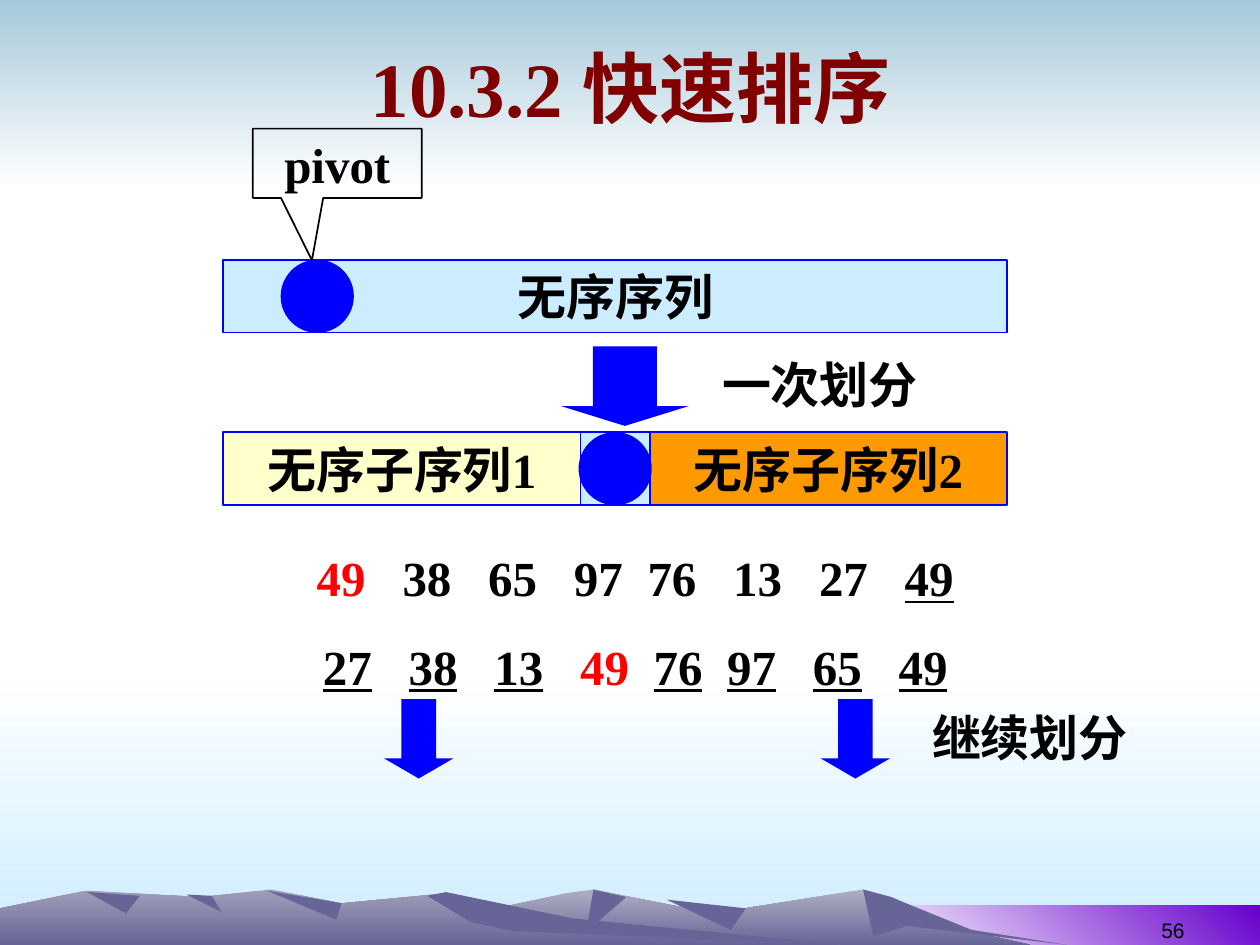
from itertools import accumulate

from lxml.etree import SubElement
from pptx import Presentation
from pptx.dml.color import RGBColor
from pptx.enum.shapes import MSO_SHAPE
from pptx.enum.text import MSO_ANCHOR, PP_ALIGN
from pptx.oxml.ns import qn
from pptx.util import Pt

BLUE, PALE_BLUE, SLATE, BLACK, RED = "0000FF", "CCECFF", "676597", "000000", "FF0000"
WIDTH, HEIGHT = 720, 540
BAR_WIDTH, BAR_HEIGHT, PIVOT, ARROW_HEIGHT = 448, 41.6, 39.6, 45.4
NUMBER_COUNT, WIDE_GAP, NARROW_GAP = 8, 49, 42

BACK_RANGE = [(258, 45), (450, 4), (471, 1), (566, 20), (685, 1), (707, 7), (764, 33), (818, 45)]
BACK_SHADES = [
    [(685, 1), (707, 7), (771, 33), (847, 45), (720, 30), (693, 38)],
    [(471, 1), (497, 7), (465, 35)],
    [(529, 9), (592, 16), (580, 33)],
]
FRONT_RANGE = [
    (0, 45), (0, 16), (68, 2), (160, 7), (215, 1), (271, 12), (354, 4), (432, 27), (667, 45)]
FRONT_SHADES = [
    [(212, 2), (271, 12), (267, 25)],
    [(339, 6), (354, 3), (455, 24), (672, 45), (407, 34), (374, 27)],
    [(148, 5), (168, 6), (176, 19)],
    [(69, 3), (111, 6), (100, 20)],
]


def rgb(value):
    """Turn a hex string into a colour."""
    return RGBColor.from_string(value)


def paint(shape, fill=None, line=None, width=1, angle=270):
    """Give a shape a plain or two-colour fill, an outline and no shadow."""
    shape.shadow.inherit = False
    if fill is None:
        shape.fill.background()
    elif isinstance(fill, tuple):
        shape.fill.gradient()
        shape.fill.gradient_angle = angle
        for position, (stop, color) in enumerate(zip(shape.fill.gradient_stops, fill)):
            stop.color.rgb = rgb(color)
            stop.position = position
    else:
        shape.fill.solid()
        shape.fill.fore_color.rgb = rgb(fill)
    if line:
        shape.line.color.rgb = rgb(line)
        shape.line.width = Pt(width)
    else:
        shape.line.fill.background()


def add_figure(slide, kind, box, fill=None, line=None, width=1, angle=270):
    """Place a preset shape in a box given in points."""
    figure = slide.shapes.add_shape(kind, *map(Pt, box))
    paint(figure, fill, line, width, angle)
    return figure


def style(run, size=28, color=BLACK, bold=True, font="Times New Roman", underline=False):
    """Set the font of a run for Latin and Chinese letters."""
    run.font.size = Pt(size)
    run.font.bold = bold
    run.font.name = font
    run.font.underline = underline
    run.font.color.rgb = rgb(color)
    SubElement(run.font._element, qn("a:ea"), typeface="Noto Sans CJK SC")


def write(shape, text, align=PP_ALIGN.CENTER, anchor=MSO_ANCHOR.MIDDLE, wrap=True, **look):
    """Put one line of text in a shape."""
    frame = shape.text_frame
    frame.text = text
    frame.word_wrap = wrap
    frame.vertical_anchor = anchor
    frame.paragraphs[0].alignment = align
    style(frame.paragraphs[0].runs[0], **look)


def add_label(slide, box, text, **look):
    """Add a text box with one line."""
    write(slide.shapes.add_textbox(*map(Pt, box)), text, **look)


def add_pivot(slide, left, top):
    """Draw the round pivot element."""
    add_figure(slide, MSO_SHAPE.OVAL, (left, top, PIVOT, PIVOT), BLUE, BLUE, 2.25)


def draw_backdrop(slide, width, height):
    """Draw the sky, the haze and the purple strip."""
    bands = [
        ((0, 384, width, height - 384), ("FFFFFF", PALE_BLUE), 270),
        ((0, 0, width, 108), ("A6C9DA", "FFFFFF"), 270),
        ((492, 517.5, width - 492, height - 517.5), ("FFFFFF", "6600CC"), 45),
    ]
    for box, colors, angle in bands:
        add_figure(slide, MSO_SHAPE.RECTANGLE, box, colors, angle=angle)


def draw_mountains(slide, left, top, crest, fill, shades):
    """Draw a mountain range and its shaded sides."""
    for outline, color in [(crest, fill)] + [(shade, SLATE) for shade in shades]:
        builder = slide.shapes.build_freeform(*outline[0], scale=Pt(0.72))
        builder.add_line_segments(outline[1:], close=True)
        paint(builder.convert_to_shape(Pt(left), Pt(top)), color)


def draw_sequence(slide, left, top, width, height):
    """Draw the unsorted sequence with its pivot and callout."""
    sequence = add_figure(slide, MSO_SHAPE.RECTANGLE, (left, top, width, height), PALE_BLUE, BLUE)
    write(sequence, "无序序列", wrap=False)
    add_pivot(slide, left + 34, top + 1)
    callout = add_figure(
        slide, MSO_SHAPE.RECTANGULAR_CALLOUT, (left + 17, top - 75, 96.5, 39.6), line=BLACK)
    callout.adjustments[0], callout.adjustments[1] = -0.15, 1.4
    write(callout, "pivot", anchor=MSO_ANCHOR.TOP)


def draw_partition(slide, left, top, width, height):
    """Draw the two subsequences on either side of the pivot."""
    part = (width - PIVOT) / 2
    parts = [(left, "FFFFCC", "无序子序列1"), (left + part + PIVOT, "FF9900", "无序子序列2")]
    for part_left, fill, text in parts:
        subsequence = add_figure(
            slide, MSO_SHAPE.RECTANGLE, (part_left, top, part, height), fill, BLUE)
        write(subsequence, text, wrap=False)
    add_figure(slide, MSO_SHAPE.RECTANGLE, (left + part, top, PIVOT, height), PALE_BLUE, BLUE)
    add_pivot(slide, left + part, top + 1)


def draw_step(slide, top, arrow_lefts, arrow_width, head, label_left, text):
    """Draw the down arrows of one step and its label."""
    for left in arrow_lefts:
        arrow = add_figure(
            slide, MSO_SHAPE.DOWN_ARROW, (left, top, arrow_width, ARROW_HEIGHT), BLUE)
        arrow.adjustments[0], arrow.adjustments[1] = 0.5, head
    add_label(slide, (label_left, top + 1, 148, 41), text,
              align=PP_ALIGN.LEFT, anchor=MSO_ANCHOR.TOP)


def draw_numbers(slide, left, top, narrow_gaps, pieces):
    """Write a row of numbers on tab stops."""
    row = slide.shapes.add_textbox(Pt(left), Pt(top), Pt(400), Pt(41)).text_frame
    row.margin_left = 0
    row.word_wrap = True
    paragraph = row.paragraphs[0]
    stops = SubElement(paragraph._p.get_or_add_pPr(), qn("a:tabLst"))
    gaps = [NARROW_GAP if gap in narrow_gaps else WIDE_GAP for gap in range(1, NUMBER_COUNT)]
    for position in accumulate(gaps):
        SubElement(stops, qn("a:tab"), pos=str(Pt(position)), algn="l")
    for text, color, underline in pieces:
        run = paragraph.add_run()
        run.text = text
        style(run, color=color, underline=underline)


def main():
    """Build the quicksort slide."""
    deck = Presentation()
    deck.slide_width, deck.slide_height = Pt(WIDTH), Pt(HEIGHT)
    slide = deck.slides.add_slide(deck.slide_layouts[6])
    draw_backdrop(slide, WIDTH, HEIGHT)
    draw_mountains(slide, 0, 507.6, BACK_RANGE, ("AEAEC2", SLATE), BACK_SHADES)
    draw_mountains(slide, 0, 507.6, FRONT_RANGE, ("9F9EB8", SLATE), FRONT_SHADES)
    add_label(slide, (516, 506, 168, 36), "56", align=PP_ALIGN.RIGHT,
              anchor=MSO_ANCHOR.BOTTOM, size=12, bold=False, font="Arial")
    add_label(slide, (36.5, 9.5, 648, 80.5), "10.3.2 快速排序", size=44, color="800000")
    draw_partition(slide, 127.5, 247, BAR_WIDTH, BAR_HEIGHT)
    draw_step(slide, 198, [320.5], 73.2, 0.25, 405.5, "一次划分")
    draw_step(slide, 399.5, [219.5, 469], PIVOT, 0.29, 525.5, "继续划分")
    draw_sequence(slide, 127.5, 148.5, BAR_WIDTH, BAR_HEIGHT)
    draw_numbers(slide, 181, 309.5, {4}, [
        ("49", RED, False), ("\t38\t65\t97\t76\t13\t27\t", BLACK, False), ("49", BLACK, True)])
    draw_numbers(slide, 184.5, 360, {4, 5}, [
        ("27\t38\t13\t", BLACK, True), ("49\t", RED, False), ("76\t97\t65\t49", BLACK, True)])
    deck.save("out.pptx")


if __name__ == "__main__":
    main()
